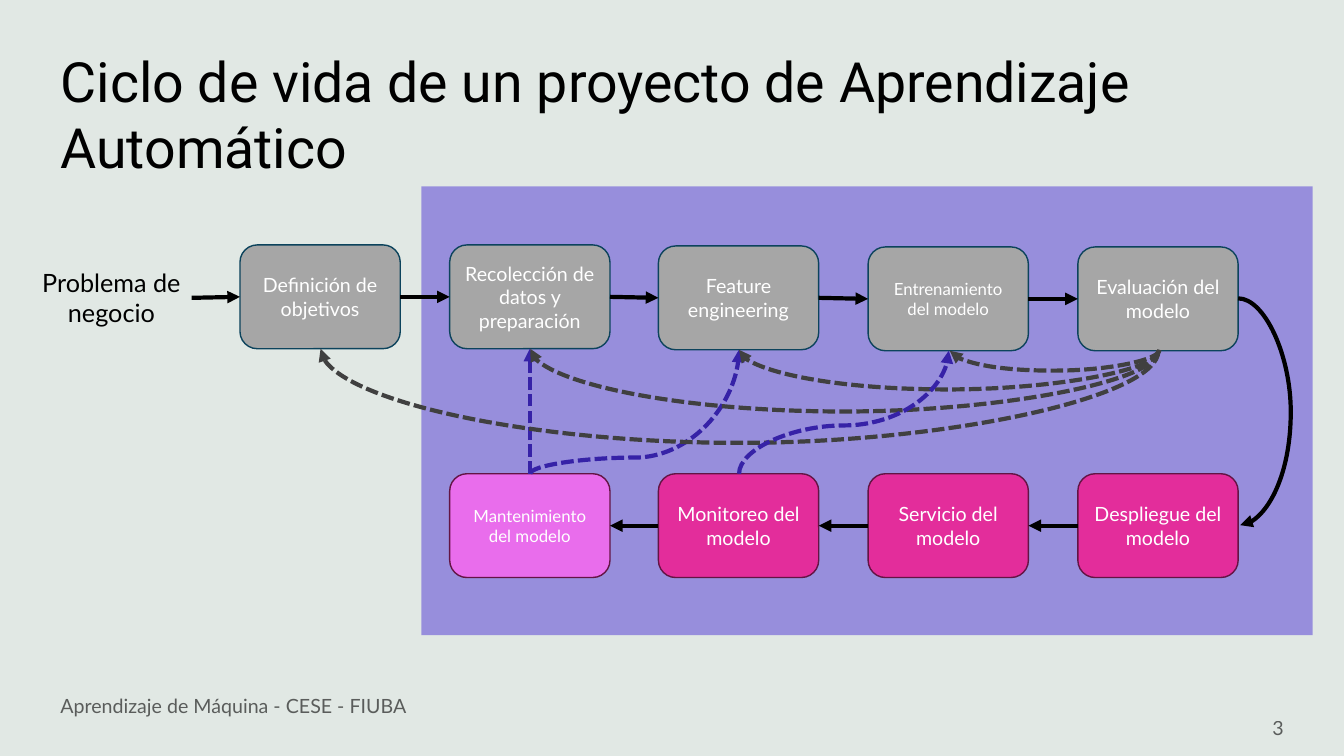
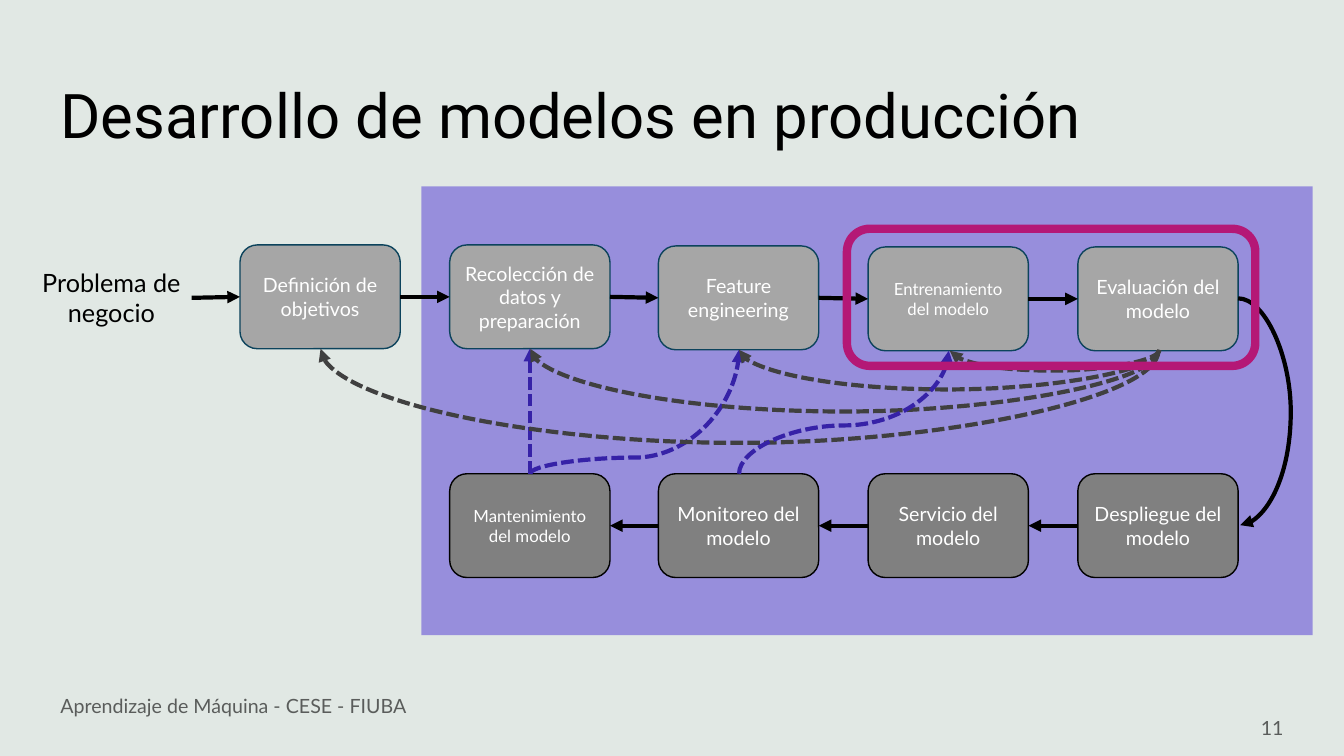
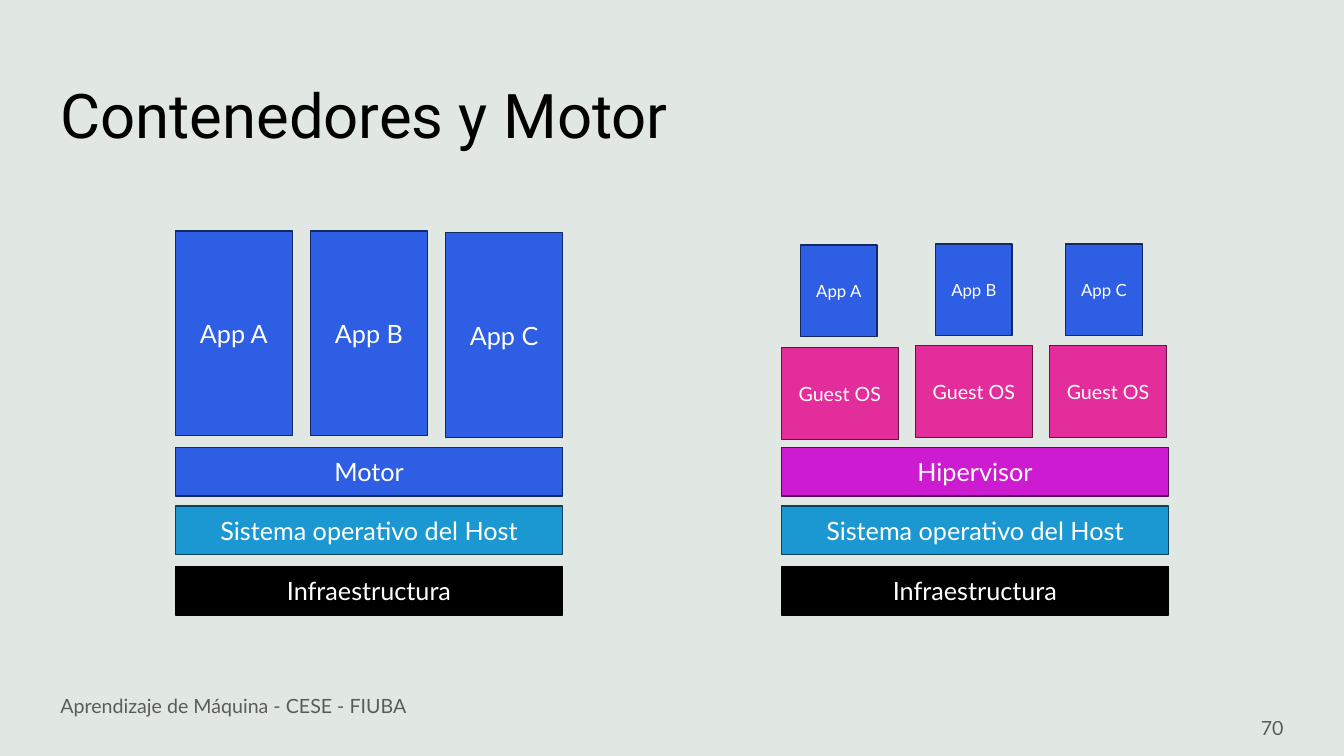
from dataclasses import dataclass
from itertools import pairwise
from typing import Any, Optional

from lxml import etree
from pptx import Presentation
from pptx import util as u
from pptx.dml.color import RGBColor
from pptx.enum import dml, shapes, text
from pptx.oxml import ns

# Shared scale, fonts and colours
PX = 9144  # EMU per px, 100 px to the inch
BODY_FONT, TITLE_FONT = "Lato", "Roboto"
FOOTER = "Aprendizaje de Máquina - CESE - FIUBA"

BLACK = RGBColor(0x00, 0x00, 0x00)
WHITE = RGBColor(0xFF, 0xFF, 0xFF)
BACKDROP = RGBColor(0xE1, 0xE8, 0xE4)
PANEL = RGBColor(0x4E, 0x36, 0xD6)
LIGHT_GREY = RGBColor(0xA6, 0xA6, 0xA6)
MID_GREY = RGBColor(0x80, 0x80, 0x80)
DARK_GREY = RGBColor(0x40, 0x40, 0x40)
INDIGO = RGBColor(0x36, 0x22, 0xA7)
TEAL_EDGE = RGBColor(0x0C, 0x43, 0x5C)
CYAN = RGBColor(0x1B, 0x98, 0xD1)
BLUE = RGBColor(0x2D, 0x5E, 0xE3)
BLUE_EDGE = RGBColor(0x14, 0x29, 0x63)
PINK = RGBColor(0xE3, 0x2D, 0x9B)
PINK_EDGE = RGBColor(0x63, 0x14, 0x44)
ORCHID = RGBColor(0xE9, 0x6D, 0xEC)
PURPLE = RGBColor(0xCD, 0x1B, 0xD1)
PURPLE_EDGE = RGBColor(0x5A, 0x0C, 0x5C)
HIGHLIGHT = RGBColor(0xB4, 0x18, 0x76)

ROUND = shapes.MSO_SHAPE.ROUNDED_RECTANGLE
RECT = shapes.MSO_SHAPE.RECTANGLE
TOP, LEFT, BOTTOM, RIGHT = range(4)  # connection sites


@dataclass(frozen=True)
class Area:
    left: int
    top: int
    width: int
    height: int

    def emu(self) -> tuple[int, ...]:
        return tuple(n * PX for n in (self.left, self.top, self.width, self.height))


@dataclass(frozen=True)
class Paint:
    fill: Optional[RGBColor]
    edge: Optional[RGBColor]
    weight: int = 1


@dataclass(frozen=True)
class Step:
    label: str
    left: int
    top: int
    size: int = 14


@dataclass(frozen=True)
class Curve:
    start: tuple[int, int]
    end: tuple[int, int]
    bend: int  # x or y of the middle stretch
    color: RGBColor
    vertical: bool = True


GREY_STEP = Paint(LIGHT_GREY, TEAL_EDGE)
DARK_STEP = Paint(MID_GREY, BLACK)
PINK_STEP = Paint(PINK, PINK_EDGE)
ORCHID_STEP = Paint(ORCHID, PINK_EDGE)
BLUE_BLOCK = Paint(BLUE, BLUE_EDGE)
HOST_BLOCK = Paint(CYAN, TEAL_EDGE)
BASE_BLOCK = Paint(BLACK, BLACK)
HYPERVISOR_BLOCK = Paint(PURPLE, PURPLE_EDGE)

UPPER_STEPS = (
    Step("Definición de objetivos", 238, 243),
    Step("Recolección de datos y preparación", 446, 243),
    Step("Feature engineering", 653, 244),
    Step("Entrenamiento del modelo", 861, 245, 12),
    Step("Evaluación del modelo", 1069, 245),
)
LOWER_STEPS = (
    Step("Despliegue del modelo", 1069, 470),
    Step("Servicio del modelo", 861, 470),
    Step("Monitoreo del modelo", 653, 470),
    Step("Mantenimiento del modelo", 446, 470, 12),
)
CURVES = (
    Curve((1228, 296), (1230, 521), 1280, BLACK, vertical=False),
    Curve((526, 470), (733, 347), 454, INDIGO),
    Curve((1149, 348), (318, 346), 439, DARK_GREY),
    Curve((1149, 348), (526, 346), 408, DARK_GREY),
    Curve((1150, 347), (942, 348), 368, DARK_GREY),
    Curve((1149, 348), (733, 347), 387, DARK_GREY),
    Curve((733, 470), (941, 348), 422, INDIGO),
)


# Text and shapes
def set_alpha(element: Any, percent: int) -> None:
    color = next(element.iter(ns.qn("a:srgbClr")))
    etree.SubElement(color, ns.qn("a:alpha"), val=str(percent * 1000))


def write(frame: Any, words: str, *, size: float, color: RGBColor = BLACK,
          font: str = BODY_FONT, align: Any = text.PP_ALIGN.LEFT,
          anchor: Any = text.MSO_ANCHOR.MIDDLE, alpha: int = 100) -> None:
    frame.word_wrap = True
    frame.vertical_anchor = anchor
    para = frame.paragraphs[0]
    para.alignment = align
    span = para.add_run()
    span.text = words
    span.font.name = font
    span.font.size = u.Pt(size)
    span.font.color.rgb = color
    if alpha < 100:
        set_alpha(span._r, alpha)


def add_label(page: Any, area: Area, words: str, **style: Any) -> Any:
    box = page.shapes.add_textbox(*area.emu())
    write(box.text_frame, words, **style)
    return box


def add_block(page: Any, kind: Any, area: Area, paint: Paint,
              words: str = "", size: int = 14) -> Any:
    block = page.shapes.add_shape(kind, *area.emu())
    block.shadow.inherit = False
    if paint.fill is None:
        block.fill.background()
    else:
        block.fill.solid()
        block.fill.fore_color.rgb = paint.fill
    if paint.edge is None:
        block.line.fill.background()
    else:
        block.line.color.rgb = paint.edge
        block.line.width = u.Pt(paint.weight)
    if words:
        write(block.text_frame, words, size=size, color=WHITE,
              align=text.PP_ALIGN.CENTER)
    return block


# Arrows
def style_arrow(arrow: Any, color: RGBColor) -> None:
    arrow.line.color.rgb = color
    arrow.line.width = u.Pt(3)
    if color != BLACK:
        arrow.line.dash_style = dml.MSO_LINE.SQUARE_DOT
    outline = arrow.line._get_or_add_ln()
    etree.SubElement(outline, ns.qn("a:tailEnd"), type="triangle")
    etree.SubElement(arrow._element.spPr, ns.qn("a:effectLst"))


def link(page: Any, source: Any, source_site: int, target: Any,
         target_site: int, color: RGBColor = BLACK) -> None:
    arrow = page.shapes.add_connector(shapes.MSO_CONNECTOR.STRAIGHT, 0, 0, 0, 0)
    arrow.begin_connect(source, source_site)
    arrow.end_connect(target, target_site)
    style_arrow(arrow, color)


def add_curve(page: Any, curve: Curve) -> None:
    (x1, y1), (x2, y2) = curve.start, curve.end
    # A vertical curve is a horizontal one turned by a quarter
    if curve.vertical:
        along, across, offset = y2 - y1, x1 - x2, curve.bend - y1
    else:
        along, across, offset = x2 - x1, y2 - y1, curve.bend - x1
    width, height = abs(along) * PX, abs(across) * PX
    left = (x1 + x2) * PX // 2 - width // 2
    top = (y1 + y2) * PX // 2 - height // 2
    arrow = page.shapes.add_connector(
        shapes.MSO_CONNECTOR.CURVE, left, top, left + width, top + height)
    frame = arrow._element.spPr.find(ns.qn("a:xfrm"))
    if curve.vertical:
        frame.set("rot", str(90 * 60000))
    if along < 0:
        frame.set("flipH", "1")
    if across < 0:
        frame.set("flipV", "1")
    guides = next(arrow._element.iter(ns.qn("a:avLst")))
    etree.SubElement(guides, ns.qn("a:gd"), name="adj1",
                     fmla=f"val {round(offset / along * 100000)}")
    style_arrow(arrow, curve.color)


# Slide parts
def add_page(deck: Any, title: str, number: int, title_size: float = 44) -> Any:
    page = deck.slides.add_slide(deck.slide_layouts.get_by_name("Title Only"))
    heading = page.shapes.title
    heading.left, heading.top, heading.width, heading.height = Area(
        50, 40, 1192, 145).emu()
    heading.text_frame.auto_size = text.MSO_AUTO_SIZE.NONE
    write(heading.text_frame, title, size=title_size, font=TITLE_FONT)
    add_label(page, Area(50, 680, 450, 40), FOOTER, size=14, alpha=60)
    add_label(page, Area(983, 702, 300, 40), str(number), size=14, alpha=60,
              align=text.PP_ALIGN.RIGHT)
    return page


def draw_cycle(page: Any, lower_paint: Paint, last_paint: Paint) -> None:
    panel = add_block(page, RECT, Area(418, 185, 884, 445), Paint(PANEL, None))
    set_alpha(panel._element.spPr, 50)
    problem = add_label(page, Area(31, 260, 159, 71), "Problema de negocio",
                        size=18, align=text.PP_ALIGN.CENTER,
                        anchor=text.MSO_ANCHOR.TOP)
    problem.text_frame.auto_size = text.MSO_AUTO_SIZE.SHAPE_TO_FIT_TEXT

    def add_step(step: Step, paint: Paint) -> Any:
        return add_block(page, ROUND, Area(step.left, step.top, 159, 103),
                         paint, step.label, step.size)

    upper = [add_step(step, GREY_STEP) for step in UPPER_STEPS]
    lower = [add_step(step, lower_paint) for step in LOWER_STEPS[:-1]]
    lower.append(add_step(LOWER_STEPS[-1], last_paint))

    for source, target in pairwise([problem, *upper]):
        link(page, source, RIGHT, target, LEFT)
    for source, target in pairwise(lower):
        link(page, source, LEFT, target, RIGHT)
    link(page, lower[-1], TOP, upper[1], BOTTOM, INDIGO)
    for curve in CURVES:
        add_curve(page, curve)


def draw_layers(page: Any, left: int, engine: str, engine_paint: Paint) -> None:
    layers = ((engine, 444, engine_paint),
              ("Sistema operativo del Host", 502, HOST_BLOCK),
              ("Infraestructura", 562, BASE_BLOCK))
    for label, top, paint in layers:
        add_block(page, RECT, Area(left, top, 384, 48), paint, label, 18)


def draw_row(page: Any, labels: list[str], corners: list[tuple[int, int]],
             width: int, height: int, paint: Paint, size: int) -> None:
    for label, (left, top) in zip(labels, corners):
        add_block(page, RECT, Area(left, top, width, height), paint, label, size)


def main() -> None:
    deck = Presentation()
    deck.slide_width, deck.slide_height = 1333 * PX, 750 * PX
    backdrop = deck.slide_master.background.fill
    backdrop.solid()
    backdrop.fore_color.rgb = BACKDROP

    # Project life cycle
    page = add_page(deck, "Ciclo de vida de un proyecto de Aprendizaje Automático",
                    3, title_size=39.6)
    draw_cycle(page, PINK_STEP, ORCHID_STEP)

    # Life cycle with the training stage framed
    page = add_page(deck, "Desarrollo de modelos en producción", 11)
    draw_cycle(page, DARK_STEP, DARK_STEP)
    add_block(page, ROUND, Area(840, 227, 405, 136), Paint(None, HIGHLIGHT, 6))

    # Containers beside virtual machines
    page = add_page(deck, "Contenedores y Motor", 70)
    apps = [f"App {letter}" for letter in "ABC"]
    draw_layers(page, 174, "Motor", BLUE_BLOCK)
    draw_row(page, apps, [(174, 229), (308, 229), (442, 231)],
             116, 203, BLUE_BLOCK, 18)
    draw_layers(page, 775, "Hipervisor", HYPERVISOR_BLOCK)
    draw_row(page, ["Guest OS"] * 3, [(775, 345), (908, 343), (1041, 343)],
             116, 91, PINK_STEP, 14)
    draw_row(page, apps, [(794, 243), (928, 242), (1057, 242)],
             76, 91, BLUE_BLOCK, 12)

    deck.save("out.pptx")


if __name__ == "__main__":
    main()
